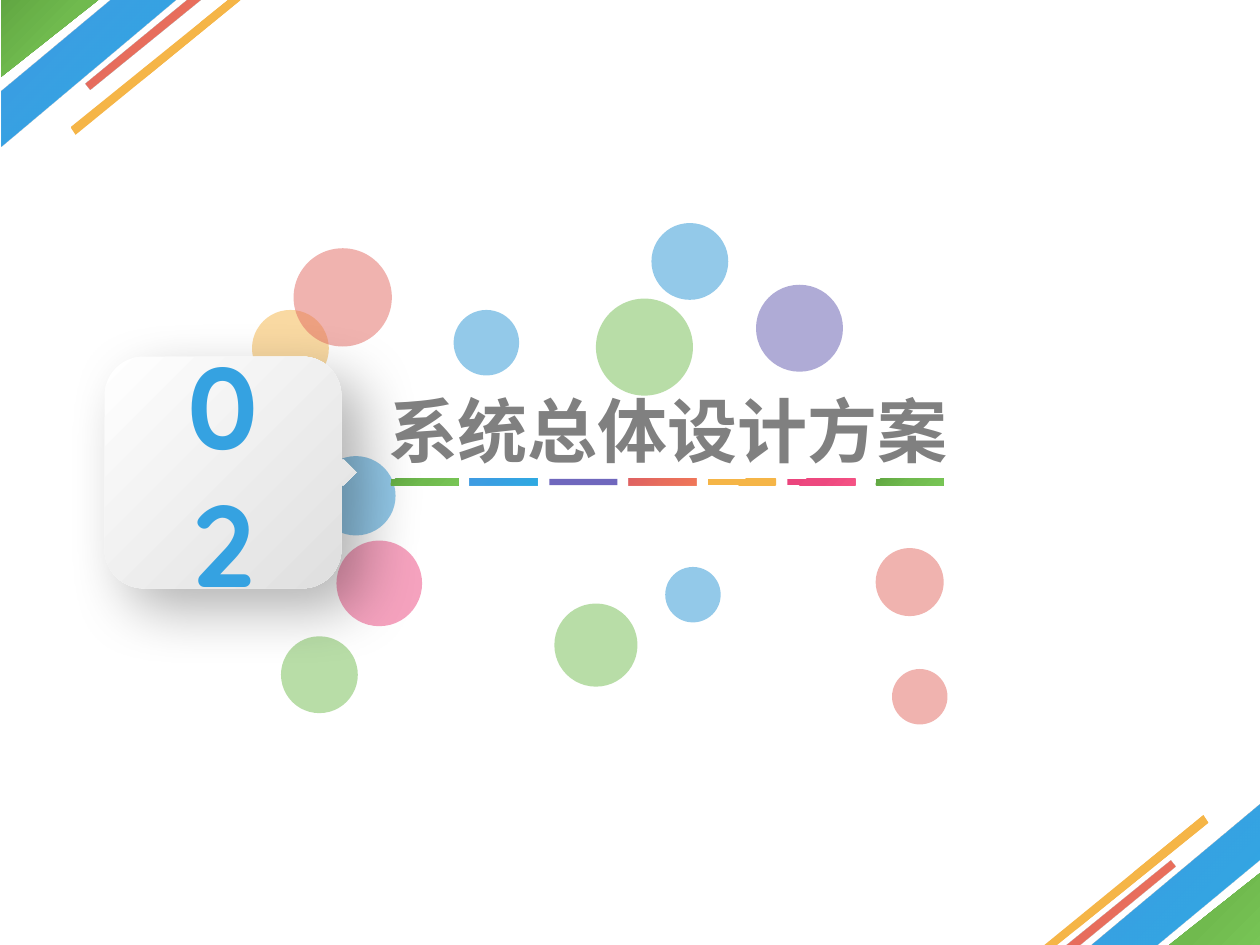
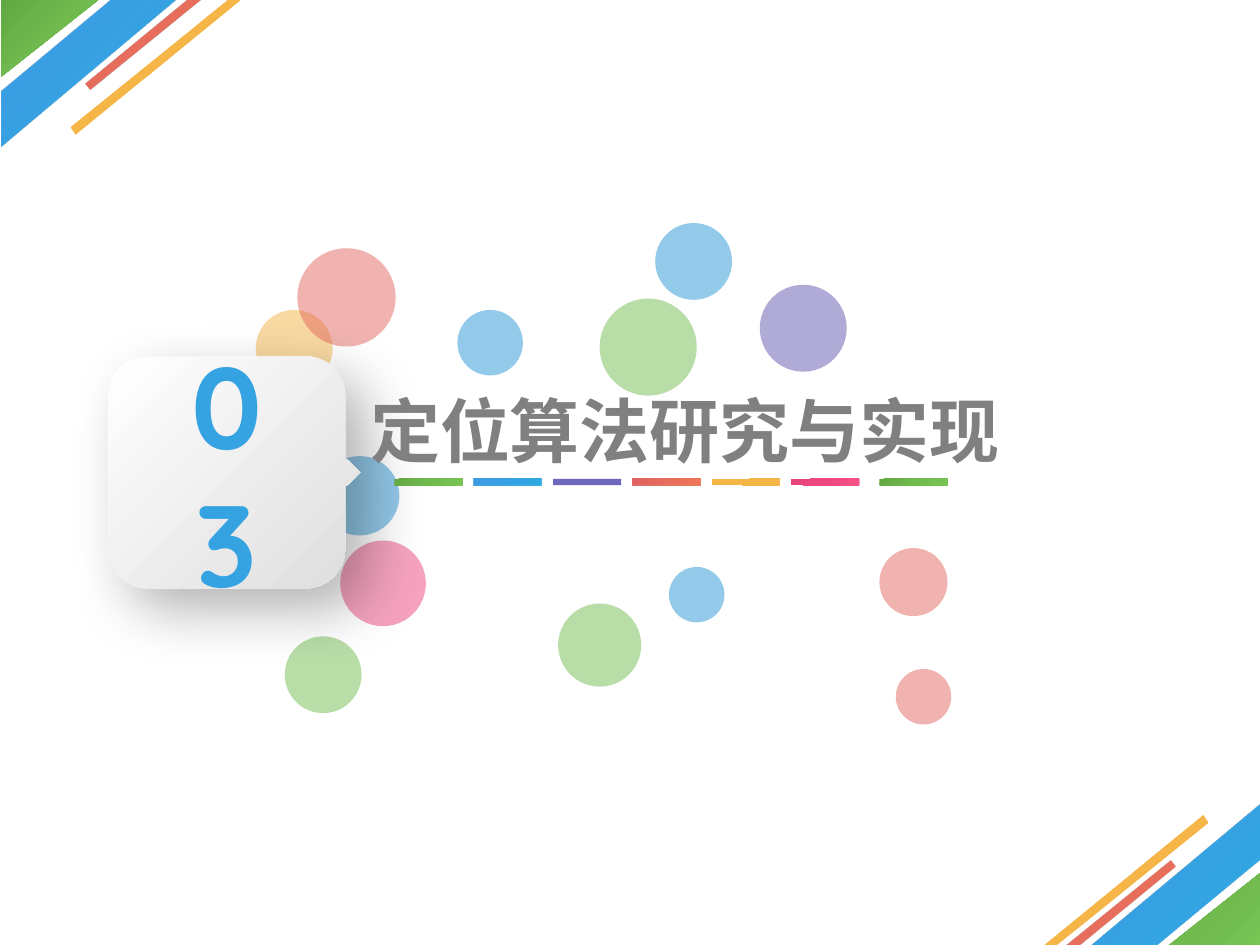
from math import cos, radians, sin

from lxml.etree import SubElement
from pptx import Presentation
from pptx.dml.color import RGBColor
from pptx.enum.shapes import MSO_SHAPE as Shape
from pptx.enum.text import MSO_ANCHOR as Anchor, PP_ALIGN as Align
from pptx.oxml.ns import qn
from pptx.util import Inches, Pt

# number, title, title width, shift of the whole cluster to the right
SECTIONS = [
    ("02", "系统总体设计方案", 5.06, 0),
    ("03", "定位算法研究与实现", 5.27, 0.03),
]

NUMBER_FONT, TITLE_FONT = "Quicksand", "Noto Sans CJK SC"
NUMBER_BLUE, TITLE_GRAY = "35A2E1", "808080"

# fill: colours of evenly spread stops, opacity in percent
GREEN = (["78C556", "70BA4E", "61A742"], 100)
BLUE = (["19A2DF", "2399E0", "2D91E0"], 90)
RED = (["F06A48", "E65F4D", "DC5153"], 90)
ORANGE = (["F5B647", "F5B547", "F5B547"], 100)
PINK = (["F55284", "ED487F", "EB457D"], 100)
PURPLE = (["6057B6"], 90)
CARD = (["FFFFFF", "DEDEDE"], 100)

# top left corner; the bottom right one is the same turned half round
TRIANGLE = (0.01, 0, 0.77, 0.61)
TURN_X, TURN_Y = 10.01, 7.54
# fill, outline, extra offset of the turned band
BANDS = [
    (BLUE, [(0.01, 1.16), (1.4, 0), (0.88, 0), (0.01, 0.72)], 0),
    (RED, [(0.72, 0.71), (1.6, 0), (1.49, 0), (0.68, 0.66)], 0),
    (ORANGE, [(0.6, 1.07), (1.91, 0), (1.81, 0), (0.56, 1.01)], 0.14),
]

# left, top, diameter, colour
BUBBLES = [
    (4.4, 4.79, 0.66, "73BD51"), (5.28, 4.5, 0.44, "2995D4"),
    (7.08, 5.31, 0.44, "E36860"), (2.67, 4.29, 0.68, "ED477F"),
    (4.73, 2.37, 0.77, "73BD51"), (6.95, 4.35, 0.54, "E36860"),
    (3.6, 2.46, 0.52, "2995D4"), (2.23, 5.05, 0.61, "73BD51"),
    (2.51, 3.62, 0.63, "2995D4"), (2, 2.46, 0.61, "F5B547"),
    (6, 2.26, 0.69, "6158AE"), (5.17, 1.77, 0.61, "2995D4"),
    (2.33, 1.97, 0.78, "E36860"),
]

DASHES = [GREEN, BLUE, PURPLE, RED, ORANGE, PINK]
DASH_LEFT, DASH_STEP, LAST_DASH_LEFT = 3.1, 0.63, 6.95
DASH_TOP, DASH_WIDTH, DASH_HEIGHT = 3.8, 0.54, 0.05

CARD_LEFT, CARD_TOP, CARD_RIGHT, CARD_BOTTOM = 0.83, 2.83, 2.71, 4.67
CARD_RADIUS, POINTER = 0.31, 0.1


def add_color(parent, color, opacity=100):
    tag = SubElement(parent, qn("a:srgbClr"), val=color)
    if opacity < 100:
        SubElement(tag, qn("a:alpha"), val=str(opacity * 1000))


def paint(shape, fill, angle=None):
    """Fill a shape plainly, radially from its bottom right, or along an angle."""
    colors, opacity = fill
    shape.shadow.inherit = False
    shape.line.fill.background()
    properties = shape._element.spPr
    kind = "a:solidFill" if len(colors) == 1 else "a:gradFill"
    tag = SubElement(properties, qn(kind))
    properties.insert(2, tag)
    if len(colors) == 1:
        add_color(tag, colors[0], opacity)
        return
    stops = SubElement(tag, qn("a:gsLst"))
    for index, color in enumerate(colors):
        position = index * 100000 // (len(colors) - 1)
        add_color(SubElement(stops, qn("a:gs"), pos=str(position)), color, opacity)
    if angle is None:
        around = SubElement(tag, qn("a:path"), path="circle")
        SubElement(around, qn("a:fillToRect"), l="100000", t="100000")
    else:
        SubElement(tag, qn("a:lin"), ang=str(angle * 60000), scaled="0")


def add_preset(page, kind, place, fill):
    shape = page.shapes.add_shape(kind, *map(Inches, place))
    paint(shape, fill)
    return shape


def add_outline(page, points, fill, angle=None):
    corners = [(Inches(x), Inches(y)) for x, y in points]
    builder = page.shapes.build_freeform(*corners[0])
    builder.add_line_segments(corners[1:], close=True)
    shape = builder.convert_to_shape()
    paint(shape, fill, angle)
    return shape


def add_text(box, text, font, size, color):
    frame = box.text_frame
    frame.word_wrap = True
    frame.vertical_anchor = Anchor.MIDDLE
    para = frame.paragraphs[0]
    para.text = text
    para.alignment = Align.CENTER
    para.font.name, para.font.size, para.font.bold = font, Pt(size), True
    para.font.color.rgb = RGBColor.from_string(color)
    properties = para.runs[0].font._element
    SubElement(properties, qn("a:ea"), typeface=font)


def add_corner(page, turned):
    left, top, width, height = TRIANGLE
    if turned:
        left, top = TURN_X - left - width, TURN_Y - top - height
    triangle = add_preset(page, Shape.RIGHT_TRIANGLE, (left, top, width, height), GREEN)
    triangle._element.spPr.xfrm.set("flipH" if turned else "flipV", "1")
    for fill, points, offset in BANDS:
        if turned:
            points = [(TURN_X + offset - x, TURN_Y - y) for x, y in points]
        add_outline(page, points, fill)


def card_points(shift):
    """Rounded card, clockwise, with a small pointer in the right side."""
    left, right = CARD_LEFT + shift, CARD_RIGHT + shift
    middle = (CARD_TOP + CARD_BOTTOM) / 2
    centers = [
        (x, y, start)
        for x, y, start in [
            (right - CARD_RADIUS, CARD_TOP + CARD_RADIUS, 270),
            (right - CARD_RADIUS, CARD_BOTTOM - CARD_RADIUS, 0),
            (left + CARD_RADIUS, CARD_BOTTOM - CARD_RADIUS, 90),
            (left + CARD_RADIUS, CARD_TOP + CARD_RADIUS, 180),
        ]
    ]
    arcs = [
        [(x + CARD_RADIUS * cos(radians(start + turn)),
          y + CARD_RADIUS * sin(radians(start + turn))) for turn in range(0, 91, 6)]
        for x, y, start in centers
    ]
    base = right + 0.02
    pointer = [(right, middle - POINTER), (base, middle - POINTER),
               (base + POINTER, middle),
               (base, middle + POINTER), (right, middle + POINTER)]
    return arcs[0] + pointer + arcs[1] + arcs[2] + arcs[3]


def add_number_card(page, number, shift):
    card = add_outline(page, card_points(shift), CARD, angle=45)
    effects = card._element.spPr.find(qn("a:effectLst"))
    shadow = SubElement(effects, qn("a:outerShdw"), blurRad=str(Pt(34)),
                        dist=str(Pt(17)), dir=str(45 * 60000),
                        algn="tl", rotWithShape="0")
    add_color(shadow, "000000", 30)

    box = page.shapes.add_shape(Shape.ROUNDED_RECTANGLE, Inches(1.09 + shift),
                                Inches(3.08), Inches(1.36), Inches(1.34))
    box.shadow.inherit = False
    box.fill.background()
    box.line.fill.background()
    # narrow margins leave room for one digit per line
    box.text_frame.margin_left = box.text_frame.margin_right = Inches(0.25)
    add_text(box, number, NUMBER_FONT, 66, NUMBER_BLUE)


def add_section(deck, number, title, title_width, shift):
    page = deck.slides.add_slide(deck.slide_layouts[6])
    for turned in (False, True):
        add_corner(page, turned)
    for left, top, size, color in BUBBLES:
        add_preset(page, Shape.OVAL, (left + shift, top, size, size), ([color], 50))
    add_number_card(page, number, shift)

    box = page.shapes.add_textbox(Inches(2.77 + shift), Inches(3.02),
                                  Inches(title_width), Inches(0.77))
    add_text(box, title, TITLE_FONT, 40, TITLE_GRAY)

    dashes = [(DASH_LEFT + DASH_STEP * i, fill) for i, fill in enumerate(DASHES)]
    for left, fill in dashes + [(LAST_DASH_LEFT, GREEN)]:
        place = (left + shift, DASH_TOP, DASH_WIDTH, DASH_HEIGHT)
        add_preset(page, Shape.RECTANGLE, place, fill)


def main():
    deck = Presentation()
    deck.slide_width, deck.slide_height = Inches(10), Inches(7.5)
    for section in SECTIONS:
        add_section(deck, *section)
    deck.save("out.pptx")


if __name__ == "__main__":
    main()
